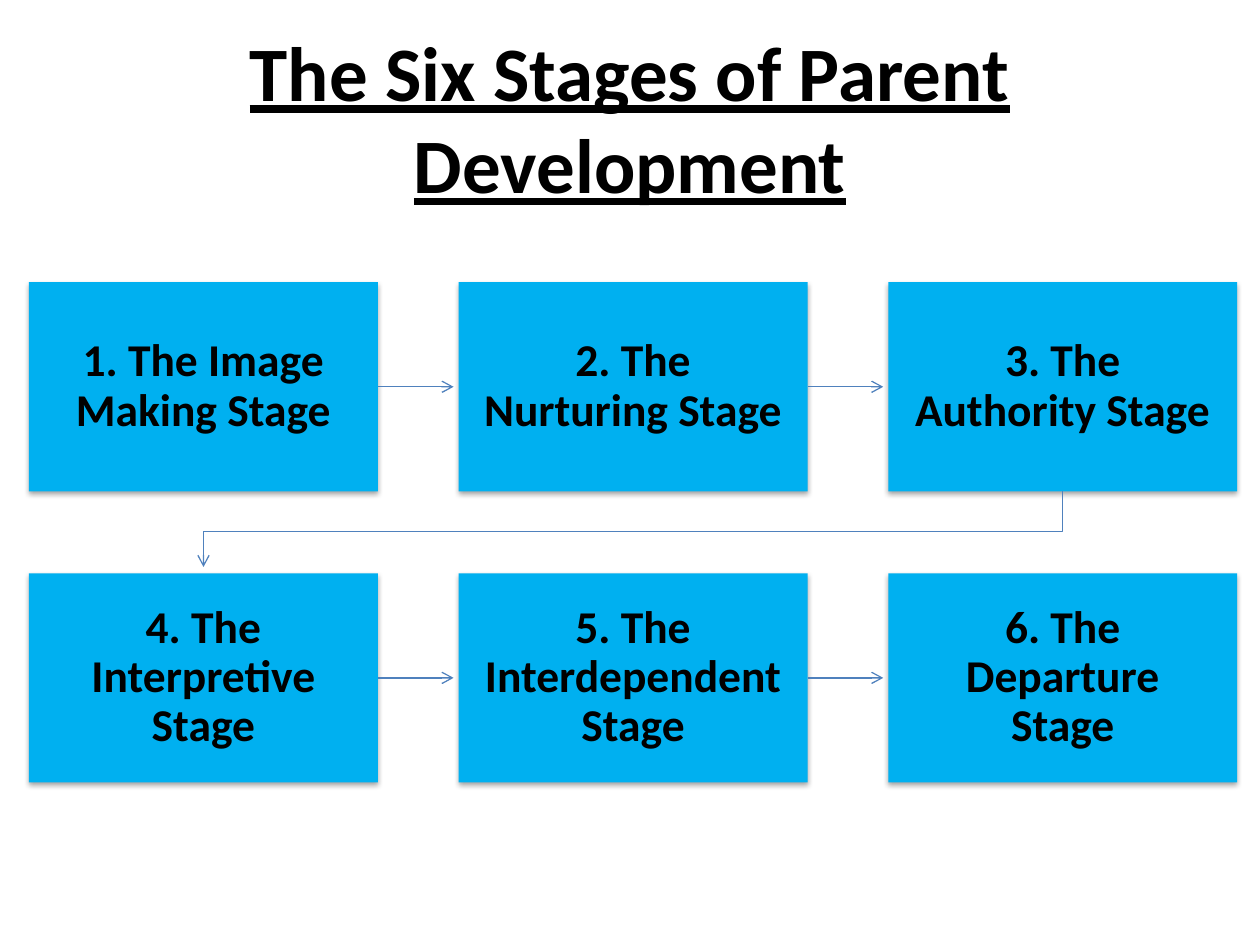
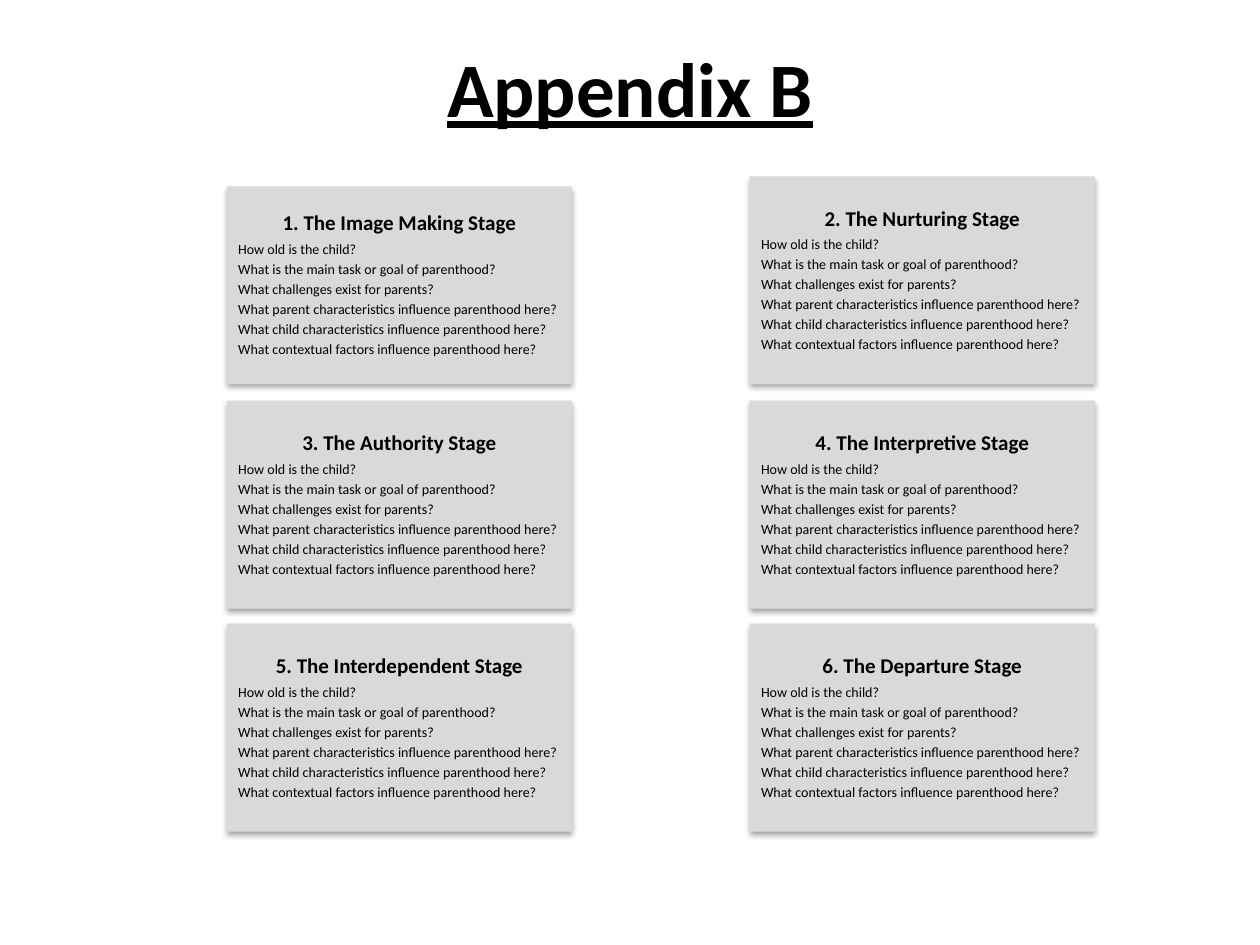
import pptx
import pptx.util
import pptx.dml.color
import pptx.enum.shapes
import pptx.enum.text
import pptx.oxml
import pptx.oxml.ns

Inches = pptx.util.Inches
Pt = pptx.util.Pt
RGB = pptx.dml.color.RGBColor.from_string
ALIGN = pptx.enum.text.PP_ALIGN
MIDDLE = pptx.enum.text.MSO_ANCHOR.MIDDLE

COLORS = {"text": "000000", "step": "00B0F0", "card": "D9D9D9", "arrow": "4F81BD"}
FONT = "Calibri"
NAMESPACE = pptx.oxml.ns.nsdecls("a")
SHADOW = (
    f'<a:outerShdw {NAMESPACE} blurRad="40000" dist="23000" dir="5400000" rotWithShape="0">'
    '<a:srgbClr val="000000"><a:alpha val="35000"/></a:srgbClr></a:outerShdw>'
)

STAGES = [
    "1. The Image Making Stage",
    "2. The Nurturing Stage",
    "3. The Authority Stage",
    "4. The Interpretive Stage",
    "5. The Interdependent Stage",
    "6. The Departure Stage",
]
QUESTIONS = [
    "How old is the child?",
    "What is the main task or goal of parenthood?",
    "What challenges exist for parents?",
    "What parent characteristics influence parenthood here?",
    "What child characteristics influence parenthood here?",
    "What contextual factors influence parenthood here?",
]


def add_box(page, left, top, width, height, color, inset, lines, heading_size):
    """Add a shadowed rectangle with a bold heading and, below it, small plain lines."""
    box = page.shapes.add_shape(
        pptx.enum.shapes.MSO_SHAPE.RECTANGLE,
        Inches(left), Inches(top), Inches(width), Inches(height),
    )
    box.fill.solid()
    box.fill.fore_color.rgb = RGB(COLORS[color])
    box.line.fill.background()
    box.shadow.inherit = False
    effects = box._element.spPr.find(pptx.oxml.ns.qn("a:effectLst"))
    effects.append(pptx.oxml.parse_xml(SHADOW))

    frame = box.text_frame
    frame.word_wrap = True
    frame.vertical_anchor = MIDDLE
    frame.margin_left = frame.margin_right = Inches(inset)
    frame.margin_top = frame.margin_bottom = Inches(inset)
    frame.text = "\n".join(lines)
    for index, para in enumerate(frame.paragraphs):
        para.alignment = ALIGN.LEFT if index else ALIGN.CENTER
        para.line_spacing = 0.9
        if index:
            para.space_before = Pt(4.2 if index == 1 else 2.8)
        para.font.name = FONT
        para.font.size = Pt(8 if index else heading_size)
        para.font.bold = index == 0
        para.font.color.rgb = RGB(COLORS["text"])
    return box


def style_arrow(arrow):
    arrow.line.color.rgb = RGB(COLORS["arrow"])
    arrow.line.width = Pt(0.75)
    arrow.line._get_or_add_ln().append(
        pptx.oxml.parse_xml(f'<a:tailEnd {NAMESPACE} type="arrow"/>'))
    properties = arrow._element.spPr
    if properties.find(pptx.oxml.ns.qn("a:effectLst")) is None:
        properties.append(pptx.oxml.parse_xml(f"<a:effectLst {NAMESPACE}/>"))


deck = pptx.Presentation()
deck.slide_width = Inches(10)
deck.slide_height = Inches(7.5)

# Titles
pages = []
for title_text, title_top in [("The Six Stages of Parent Development", 0.3), ("Appendix B", 0.06)]:
    page = deck.slides.add_slide(deck.slide_layouts[5])
    title = page.shapes.title
    title.left, title.top = Inches(0.5), Inches(title_top)
    title.width, title.height = Inches(9), Inches(1.25)
    title.text_frame.text = title_text
    title.text_frame.auto_size = pptx.enum.text.MSO_AUTO_SIZE.NONE
    title.text_frame.vertical_anchor = MIDDLE
    para = title.text_frame.paragraphs[0]
    para.alignment = ALIGN.CENTER
    span = para.runs[0]
    span.font.name = FONT
    span.font.size = Pt(44)
    span.font.bold = True
    span.font.underline = True
    span.font.color.rgb = RGB(COLORS["text"])
    pages.append(page)
flow_page, appendix_page = pages

# Flow of the six stages, in two rows of three
STEP_LEFT, STEP_TOP = 0.23, 2.24
STEP_WIDTH, STEP_HEIGHT = 2.77, 1.66
COLUMN_PITCH, ROW_PITCH = 3.41, 2.31
ARROW_LENGTH = 0.6

for index, stage in enumerate(STAGES):
    row, column = divmod(index, 3)
    left = STEP_LEFT + column * COLUMN_PITCH
    top = STEP_TOP + row * ROW_PITCH
    step = add_box(flow_page, left, top, STEP_WIDTH, STEP_HEIGHT, "step", 0.2, [stage], 26)
    if column < 2:
        right, middle = left + STEP_WIDTH, top + STEP_HEIGHT / 2
        arrow = flow_page.shapes.add_connector(
            pptx.enum.shapes.MSO_CONNECTOR.STRAIGHT,
            Inches(right), Inches(middle), Inches(right + ARROW_LENGTH), Inches(middle),
        )
        arrow.begin_connect(step, 3)
        style_arrow(arrow)

# Arrow from the end of the first row to the start of the second
first_center = STEP_LEFT + STEP_WIDTH / 2
last_center = first_center + 2 * COLUMN_PITCH
row_bottom = STEP_TOP + STEP_HEIGHT
bend = row_bottom + 0.32
outline = flow_page.shapes.build_freeform(Inches(last_center), Inches(row_bottom))
outline.add_line_segments(
    [(Inches(x), Inches(y)) for x, y in
     [(last_center, bend), (first_center, bend), (first_center, row_bottom + ARROW_LENGTH)]],
    close=False,
)
return_arrow = outline.convert_to_shape()
return_arrow.fill.background()
return_arrow.shadow.inherit = False
style_arrow(return_arrow)

# Question cards, in three rows of two; the first card is a little shorter
CARD_LEFTS = [1.8, 5.95]
CARD_TOPS = [1.4, 3.18, 4.95]
CARD_WIDTH, CARD_HEIGHT = 2.74, 1.65

for index, stage in enumerate(STAGES):
    row, column = divmod(index, 2)
    trim = 0.08 if index == 0 else 0
    add_box(appendix_page, CARD_LEFTS[column], CARD_TOPS[row] + trim,
            CARD_WIDTH, CARD_HEIGHT - trim, "card", 0.09, [stage] + QUESTIONS, 12)

deck.save("out.pptx")
